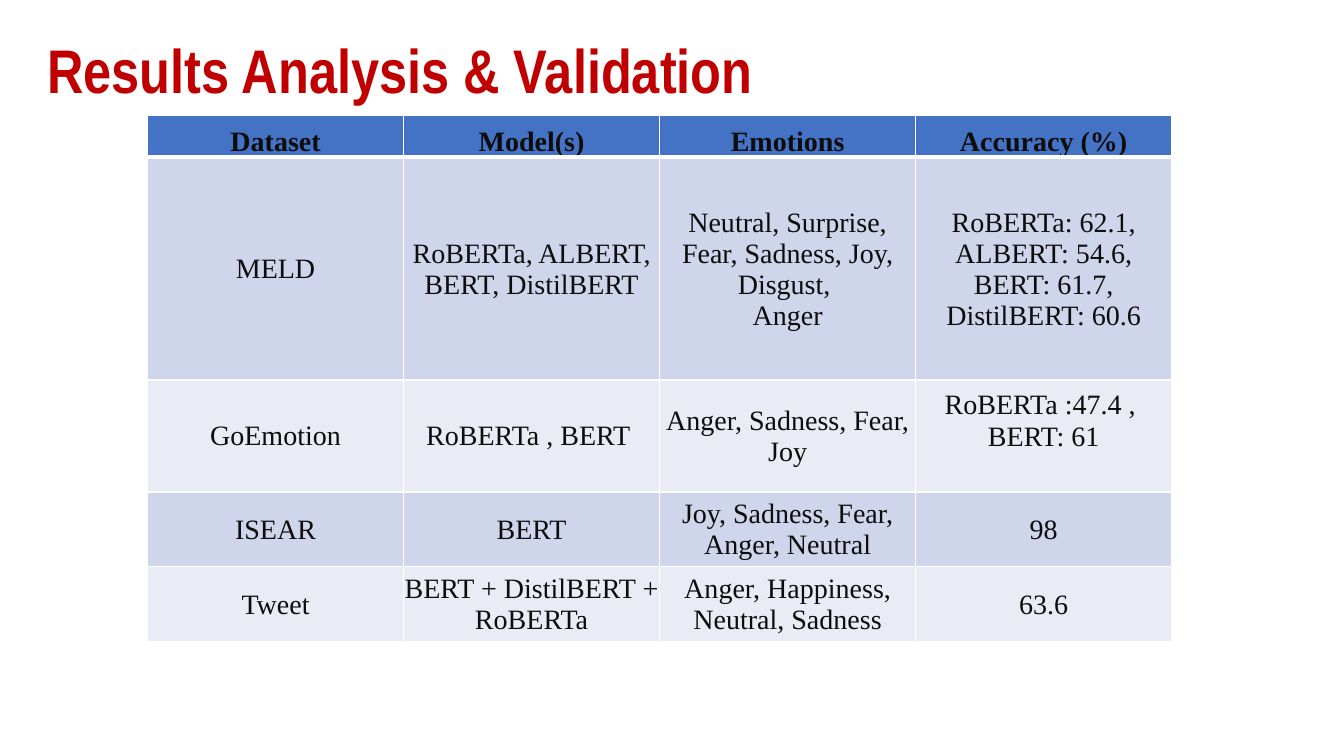
import pptx
import pptx.util
import pptx.dml.color
import pptx.enum.text
import pptx.oxml
import pptx.oxml.ns

Pt = pptx.util.Pt
RGB = pptx.dml.color.RGBColor.from_string
MIDDLE = pptx.enum.text.MSO_ANCHOR.MIDDLE
BOTTOM = pptx.enum.text.MSO_ANCHOR.BOTTOM
CENTER = pptx.enum.text.PP_ALIGN.CENTER

COLORS = {"title": "C00000", "text": "0D0D0D", "header": "4472C4",
          "odd": "CFD5EA", "even": "E9EBF5", "border": "FFFFFF"}
ROWS = [
    ["Dataset", "Model(s)", "Emotions", "Accuracy (%)"],
    ["MELD", "RoBERTa, ALBERT, BERT, DistilBERT",
     "Neutral, Surprise, Fear, Sadness, Joy, Disgust, \nAnger",
     "RoBERTa: 62.1, ALBERT: 54.6, BERT: 61.7, DistilBERT: 60.6"],
    ["GoEmotion", "RoBERTa , BERT ", "Anger, Sadness, Fear, Joy",
     "RoBERTa :47.4 , \nBERT: 61"],
    ["ISEAR", "BERT", "Joy, Sadness, Fear, Anger, Neutral", "98"],
    ["Tweet", "BERT + DistilBERT + RoBERTa",
     "Anger, Happiness, Neutral, Sadness", "63.6"],
]
HEIGHTS = [30, 159, 80, 53.5, 53.5]
COL_WIDTH = 182.9


def add_run(p, text, font, size, color, bold):
    r = p.add_run()
    r.text = text
    r.font.name = font
    r.font.size = Pt(size)
    r.font.bold = bold
    r.font.color.rgb = RGB(COLORS[color])


def add_border(cell, side, width):
    cell._tc.get_or_add_tcPr().append(pptx.oxml.parse_xml(
        f'<a:{side} {pptx.oxml.ns.nsdecls("a")} w="{Pt(width)}"><a:solidFill>'
        f'<a:srgbClr val="{COLORS["border"]}"/></a:solidFill></a:{side}>'))


prs = pptx.Presentation()
prs.slide_width = Pt(960)
prs.slide_height = Pt(540)
slide = prs.slides.add_slide(prs.slide_layouts[6])

sp = slide.shapes.add_textbox(Pt(26.8), Pt(0), Pt(828), Pt(104.4))
tf = sp.text_frame
tf.word_wrap = True
tf.vertical_anchor = MIDDLE
p = tf.paragraphs[0]
p.line_spacing = 0.9
add_run(p, "Results Analysis & Validation", "Arial Narrow", 44, "title", True)

table = slide.shapes.add_table(len(ROWS), 4, Pt(105.4), Pt(82.4),
                               Pt(4 * COL_WIDTH), Pt(sum(HEIGHTS))).table
for col in table.columns:
    col.width = Pt(COL_WIDTH)

for i, (height, texts) in enumerate(zip(HEIGHTS, ROWS)):
    table.rows[i].height = Pt(height)
    header = i == 0
    fill = "header" if header else "odd" if i % 2 else "even"
    for j, text in enumerate(texts):
        cell = table.cell(i, j)
        cell.margin_left = cell.margin_right = cell.margin_top = Pt(0.7)
        cell.margin_bottom = Pt(0)
        cell.vertical_anchor = BOTTOM if header else MIDDLE
        for side, width in (("lnL", 1), ("lnR", 1),
                            ("lnT", 3 if i == 1 else 1),
                            ("lnB", 3 if header else 1)):
            add_border(cell, side, width)
        cell.fill.solid()
        cell.fill.fore_color.rgb = RGB(COLORS[fill])
        tf = cell.text_frame
        for n, line in enumerate(text.split("\n")):
            p = tf.add_paragraph() if n else tf.paragraphs[0]
            p.alignment = CENTER
            add_run(p, line, "Times New Roman", 20, "text", header)

table.cell(2, 3).margin_bottom = Pt(22)

prs.save("out.pptx")
